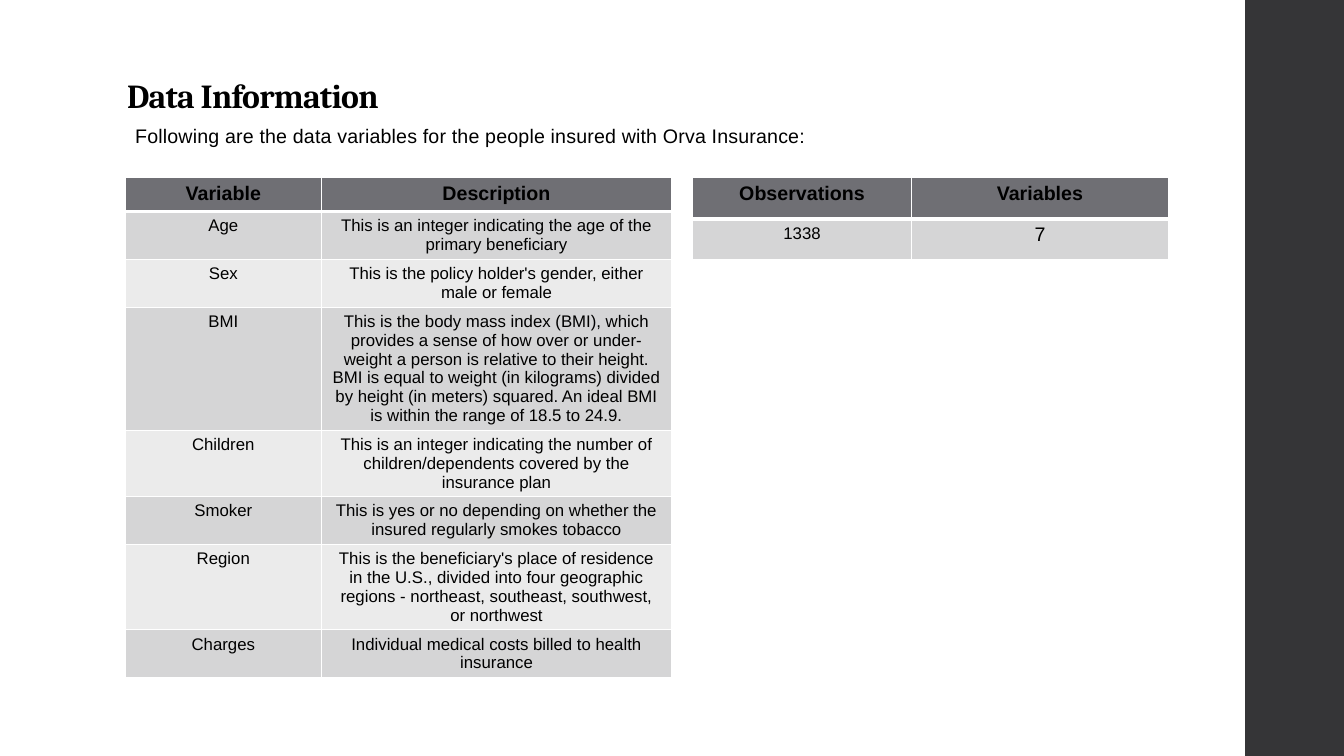
from pptx import Presentation
from pptx.dml.color import RGBColor
from pptx.enum.shapes import MSO_SHAPE
from pptx.enum.text import MSO_ANCHOR, MSO_AUTO_SIZE, PP_ALIGN
from pptx.oxml.ns import qn
from pptx.util import Inches, Pt
from lxml.etree import SubElement


def color(code):
    return RGBColor.from_string(code)


class Deck:
    ink, line, head, bands = "000000", "FFFFFF", "6F6F74", ("D5D5D6", "EBEBEB")

    def __init__(self):
        self.file = Presentation()
        self.file.slide_width = Inches(13.33)
        self.file.slide_height = Inches(7.5)
        self.slide = self.file.slides.add_slide(self.file.slide_layouts[1])

    def style(self, para, size, face="Arial", bold=False):
        font = para.font
        font.name, font.size, font.bold = face, Pt(size), bold
        font.color.rgb = color(self.ink)

    def holder(self, index, box, text, size, face, bold, track, anchor):
        shape = self.slide.placeholders[index]
        shape.left, shape.top, shape.width, shape.height = map(Inches, box)
        frame = shape.text_frame
        frame.text = text
        frame.auto_size = MSO_AUTO_SIZE.NONE
        frame.vertical_anchor = anchor
        para = frame.paragraphs[0]
        para.alignment = PP_ALIGN.LEFT
        self.style(para, size, face, bold)
        props = para._p.get_or_add_pPr()
        props.find(qn("a:defRPr")).set("spc", str(track))
        return para, props

    def title(self, text):
        para, _ = self.holder(0, (1.16, 0.58, 11, 0.62), text, 24, "Cambria",
                              True, -50, MSO_ANCHOR.BOTTOM)
        para.line_spacing = 0.9

    def lead(self, text):
        para, props = self.holder(1, (1.24, 1.2, 11, 0.44), text, 14, "Arial",
                                  False, 10, MSO_ANCHOR.TOP)
        para.line_spacing = 0.95
        para.space_before, para.space_after = Pt(14), Pt(2)
        props.set("marL", "0")
        props.set("indent", "0")
        props.find(qn("a:defRPr")).addprevious(SubElement(props, qn("a:buNone")))

    def bar(self, box, fill):
        shape = self.slide.shapes.add_shape(MSO_SHAPE.RECTANGLE, *map(Inches, box))
        shape.shadow.inherit = False
        shape.fill.solid()
        shape.fill.fore_color.rgb = color(fill)
        shape.line.fill.background()

    def edges(self, cell, top, base):
        props = cell._tc.get_or_add_tcPr()
        widths = {"lnL": 1, "lnR": 1, "lnT": top, "lnB": base}
        for spot, (tag, width) in enumerate(widths.items()):
            edge = SubElement(props, qn("a:" + tag), w=str(Pt(width)))
            fill = SubElement(edge, qn("a:solidFill"))
            SubElement(fill, qn("a:srgbClr"), val=self.line)
            props.insert(spot, edge)

    def table(self, left, top, cols, highs, rows, sizes):
        box = map(Inches, (left, top, sum(cols), sum(highs)))
        grid = self.slide.shapes.add_table(len(rows), len(cols), *box).table
        for col, width in zip(grid.columns, cols):
            col.width = Inches(width)
        for r, (row, high) in enumerate(zip(rows, highs)):
            grid.rows[r].height = Inches(high)
            for c, text in enumerate(row):
                cell = grid.cell(r, c)
                cell.text = text
                para = cell.text_frame.paragraphs[0]
                para.alignment = PP_ALIGN.CENTER
                self.style(para, sizes[c] if r else 14, bold=r == 0)
                cell.fill.solid()
                cell.fill.fore_color.rgb = color(
                    self.bands[(r - 1) % 2] if r else self.head)
                self.edges(cell, 3 if r == 1 else 1, 1 if r else 3)


def main():
    deck = Deck()
    deck.bar((12.35, 0, 0.98, 7.5), "353537")
    deck.title("Data Information")
    deck.lead("Following are the data variables for the people insured with Orva Insurance:")
    fields = [
        ("Variable", "Description"),
        ("Age", "This is an integer indicating the age of the primary beneficiary"),
        ("Sex", "This is the policy holder's gender, either male or female"),
        ("BMI", "This is the body mass index (BMI), which provides a sense of how "
                "over or under-weight a person is relative to their height. BMI is "
                "equal to weight (in kilograms) divided by height (in meters) "
                "squared. An ideal BMI is within the range of 18.5 to 24.9."),
        ("Children", "This is an integer indicating the number of "
                     "children/dependents covered by the insurance plan"),
        ("Smoker", "This is yes or no depending on whether the insured regularly "
                   "smokes tobacco"),
        ("Region", "This is the beneficiary's place of residence in the U.S., "
                   "divided into four geographic regions - northeast, southeast, "
                   "southwest, or northwest"),
        ("Charges", "Individual medical costs billed to health insurance"),
    ]
    deck.table(1.24, 1.76, (1.95, 3.47), [0.34] + [0.44] * 7, fields, (12, 12))
    counts = [("Observations", "Variables"), ("1338", "7")]
    deck.table(6.87, 1.76, (2.17, 2.55), [0.41] * 2, counts, (12, 14))
    deck.file.save("out.pptx")


if __name__ == "__main__":
    main()
